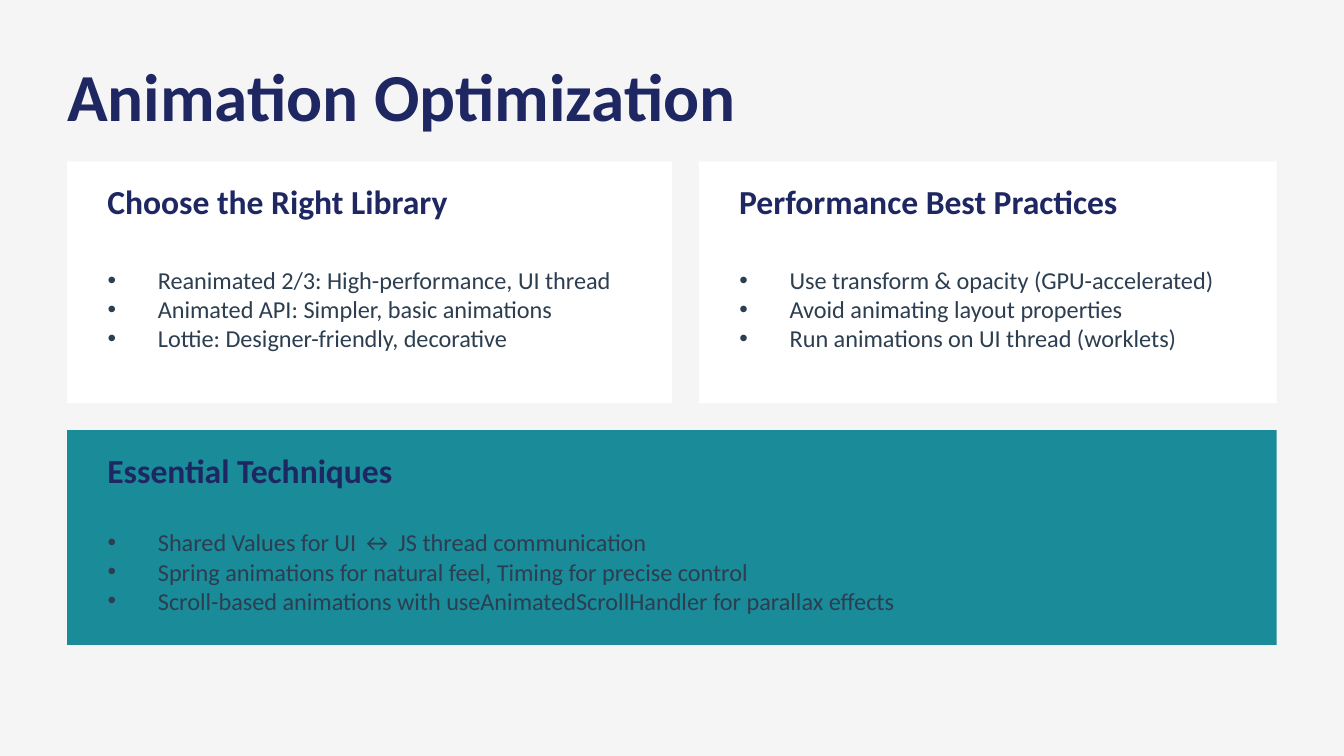
import dataclasses
import typing

import pptx
import pptx.dml.color
import pptx.enum.shapes
import pptx.enum.text
import pptx.oxml.ns
import pptx.util
from lxml import etree

Cm = pptx.util.Cm
Pt = pptx.util.Pt
qn = pptx.oxml.ns.qn


@dataclasses.dataclass(frozen=True)
class Theme:
    font: str = "Calibri"
    background: str = "F5F5F5"
    heading: str = "1E2761"
    body: str = "2C3E50"
    card: str = "FFFFFF"
    accent: str = "028090"
    title_size: int = 36
    heading_size: int = 18
    body_size: int = 13


class Box(typing.NamedTuple):
    """Left, top, width and height in centimetres."""
    left: float
    top: float
    width: float
    height: float


@dataclasses.dataclass(frozen=True)
class Panel:
    area: Box
    text_width: float
    list_offset: float
    fill: str
    heading: str
    points: tuple[str, ...]
    opacity: int = 100


THEME = Theme()
MARGIN = 1.27
CONTENT_WIDTH = 22.86
TEXT_INDENT = 0.51
HEADING_OFFSET = 0.38
HEADING_HEIGHT = 0.76
LIST_HEIGHT = 2.54
BULLET_INDENT = 0.95
TOP_ROW = 3.05
CARD_HEIGHT = 4.57

PANELS = (
    Panel(Box(MARGIN, TOP_ROW, 11.43, CARD_HEIGHT), 10.16, 1.52, THEME.card,
          "Choose the Right Library",
          ("Reanimated 2/3: High-performance, UI thread",
           "Animated API: Simpler, basic animations",
           "Lottie: Designer-friendly, decorative")),
    Panel(Box(13.21, TOP_ROW, 10.92, CARD_HEIGHT), 10.16, 1.52, THEME.card,
          "Performance Best Practices",
          ("Use transform & opacity (GPU-accelerated)",
           "Avoid animating layout properties",
           "Run animations on UI thread (worklets)")),
    Panel(Box(MARGIN, 8.13, CONTENT_WIDTH, 4.06), 21.59, 1.4, THEME.accent,
          "Essential Techniques",
          ("Shared Values for UI ↔ JS thread communication",
           "Spring animations for natural feel, Timing for precise control",
           "Scroll-based animations with useAnimatedScrollHandler for parallax effects"),
          opacity=90),
)


def rgb(value: str) -> pptx.dml.color.RGBColor:
    return pptx.dml.color.RGBColor.from_string(value)


def apply_format(target, values: dict[str, typing.Any]) -> None:
    for name, value in values.items():
        setattr(target, name, value)


def place(shape, box: Box) -> None:
    apply_format(shape, {name: Cm(value) for name, value in box._asdict().items()})


def write(shape, lines: tuple[str, ...], size: int, color: str, bold: bool) -> None:
    frame = shape.text_frame
    apply_format(frame, {
        "text": "\n".join(lines),
        "word_wrap": True,
        "auto_size": pptx.enum.text.MSO_AUTO_SIZE.NONE,
        "vertical_anchor": pptx.enum.text.MSO_ANCHOR.MIDDLE,
    })
    for paragraph in frame.paragraphs:
        apply_format(paragraph, {"alignment": pptx.enum.text.PP_ALIGN.LEFT,
                                 "space_before": Pt(0)})
        for run in paragraph.runs:
            apply_format(run.font, {"name": THEME.font, "size": Pt(size), "bold": bold})
            run.font.color.rgb = rgb(color)


def add_bullets(shape) -> None:
    for paragraph in shape.text_frame.paragraphs:
        properties = paragraph._p.get_or_add_pPr()
        properties.set("marL", str(Cm(BULLET_INDENT)))
        properties.set("indent", str(-Cm(BULLET_INDENT)))
        etree.SubElement(properties, qn("a:buFont"), typeface="Arial")
        etree.SubElement(properties, qn("a:buChar"), char="•")


def draw_background(slide, panel: Panel) -> None:
    """Draw the panel's rectangle behind the title and lists."""
    card = slide.shapes.add_shape(pptx.enum.shapes.MSO_SHAPE.RECTANGLE,
                                  *map(Cm, panel.area))
    card.shadow.inherit = False
    card.fill.solid()
    card.fill.fore_color.rgb = rgb(panel.fill)
    card.line.fill.background()
    if panel.opacity < 100:
        color = card.element.spPr.find(f"{qn('a:solidFill')}/{qn('a:srgbClr')}")
        etree.SubElement(color, qn("a:alpha"), val=str(panel.opacity * 1000))
    slide.shapes.title.element.addprevious(card.element)


def draw_panel(slide, panel: Panel, point_list) -> None:
    draw_background(slide, panel)
    left = panel.area.left + TEXT_INDENT
    top = panel.area.top
    heading_box = Box(left, top + HEADING_OFFSET, panel.text_width, HEADING_HEIGHT)
    heading = slide.shapes.add_textbox(*map(Cm, heading_box))
    write(heading, (panel.heading,), THEME.heading_size, THEME.heading, True)
    place(point_list, Box(left, top + panel.list_offset, panel.text_width, LIST_HEIGHT))
    write(point_list, panel.points, THEME.body_size, THEME.body, False)
    add_bullets(point_list)


def main() -> None:
    deck = pptx.Presentation()
    apply_format(deck, {"slide_width": Cm(25.4), "slide_height": Cm(14.29)})
    slide = deck.slides.add_slide(deck.slide_layouts.get_by_name("Comparison"))
    slide.background.fill.solid()
    slide.background.fill.fore_color.rgb = rgb(THEME.background)

    title, *point_lists, spare = slide.placeholders
    spare.element.getparent().remove(spare.element)
    place(title, Box(MARGIN, 1.02, CONTENT_WIDTH, 1.52))
    write(title, ("Animation Optimization",), THEME.title_size, THEME.heading, True)
    apply_format(title.text_frame, dict.fromkeys(
        ("margin_left", "margin_top", "margin_right", "margin_bottom"), Cm(0)))

    for panel, point_list in zip(PANELS, point_lists):
        draw_panel(slide, panel, point_list)
    deck.save("out.pptx")


if __name__ == "__main__":
    main()
